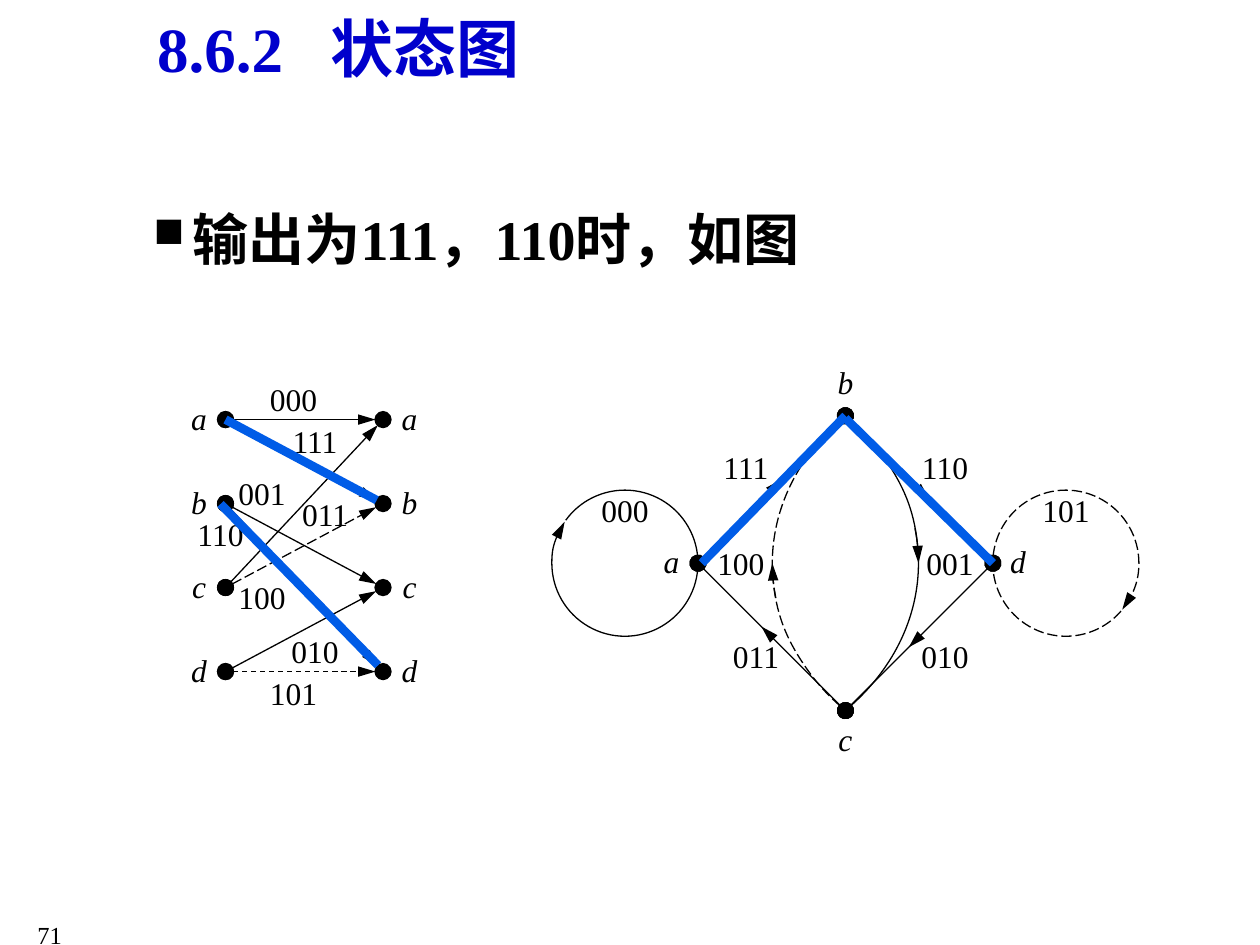
from math import hypot

from lxml import etree
from pptx import Presentation
from pptx.dml.color import RGBColor
from pptx.enum.dml import MSO_LINE
from pptx.enum.shapes import MSO_CONNECTOR, MSO_SHAPE
from pptx.enum.text import MSO_ANCHOR, PP_ALIGN
from pptx.oxml.ns import qn
from pptx.util import Inches, Pt

FONT = "Times New Roman"
BLACK = RGBColor(0, 0, 0)
TITLE_BLUE = RGBColor(0, 0, 0xCC)
PATH_BLUE = RGBColor(0, 0x5C, 0xE7)
SOLID, DASH, LONG = MSO_LINE.SOLID, MSO_LINE.DASH, MSO_LINE.LONG_DASH
LEFT, CENTER, RIGHT = PP_ALIGN.LEFT, PP_ALIGN.CENTER, PP_ALIGN.RIGHT
TOP, MIDDLE = MSO_ANCHOR.TOP, MSO_ANCHOR.MIDDLE

# Text as runs with their letter spacing in points
TITLE = [("8.6.2", 0), (" ", 18), ("状态图", 0)]
BODY = [("输出为111，110时，如图", 0)]
PAGE = [("71", 0)]

# Trellis: states in rows, time steps in two columns
STATES = "abcd"
COLUMNS = (1.79, 3.04)
ROW_TOP, ROW_STEP = 3.33, 2 / 3
ARROW_GAP = 0.06
DOT = 0.01
LETTER_OFFSET = 0.21
BRANCHES = [
    ("a", "a", SOLID), ("a", "b", LONG), ("b", "c", SOLID), ("b", "d", LONG),
    ("c", "a", SOLID), ("c", "b", LONG), ("d", "c", SOLID), ("d", "d", DASH),
]
TRELLIS_LABELS = [
    ("000", 2.33, 3.17), ("111", 2.5, 3.5), ("001", 2.08, 3.91),
    ("011", 2.58, 4.08), ("110", 1.75, 4.24), ("100", 2.08, 4.74),
    ("010", 2.5, 5.17), ("101", 2.33, 5.5),
]

# State diagram: a diamond of states around one centre
CX, CY, R = 6.71, 4.47, 1.17
LOOP_R = 0.58
LOOP_X = R + LOOP_R
BOW_RX, BOW_RY = 2, 1.66
BOW_X = BOW_RX - LOOP_R
NODES = {"a": (CX - R, CY), "b": (CX, CY - R), "c": (CX, CY + R), "d": (CX + R, CY)}
NODE_LETTERS = [("a", CX - 1.38, CY), ("b", CX, CY - 1.42),
                ("c", CX, CY + 1.41), ("d", CX + 1.37, CY)]
TRANSITIONS = [("a", "b", LONG), ("b", "d", LONG), ("d", "c", SOLID), ("c", "a", SOLID)]
# centre x, radii, start and end angle (clockwise), dash, head, tail
ARCS = [
    (CX - BOW_X, BOW_RX, BOW_RY, 320.5, 0, SOLID, "oval", "triangle"),
    (CX - BOW_X, BOW_RX, BOW_RY, 352, 39.5, SOLID, None, None),
    (CX + BOW_X, BOW_RX, BOW_RY, 140.5, 180, LONG, "oval", "triangle"),
    (CX + BOW_X, BOW_RX, BOW_RY, 172, 219.5, LONG, None, None),
    (CX - LOOP_X, LOOP_R, LOOP_R, 216, 214.5, SOLID, None, "triangle"),
    (CX + LOOP_X, LOOP_R, LOOP_R, 41, 39.5, LONG, None, "triangle"),
]
DIAGRAM_LABELS = [
    ("000", CX - LOOP_X, 4.05), ("101", CX + LOOP_X, 4.05),
    ("111", 5.92, 3.71), ("110", 7.5, 3.71), ("100", 5.88, CY),
    ("001", 7.54, CY), ("011", 6, 5.21), ("010", 7.5, 5.21),
]

HIGHLIGHTS = [
    ((1.79, 3.33), (2.99, 3.97)), ((CX, 3.3), (5.57, CY)),
    ((1.75, 4), (3, 5.28)), ((CX, 3.32), (7.88, CY)),
]

prs = Presentation()
prs.slide_width, prs.slide_height = Inches(10), Inches(7.5)
s = prs.slides.add_slide(prs.slide_layouts[6])


def style_line(sp, color, width, dash, head, tail):
    for name, value in {"width": Pt(width), "dash_style": dash}.items():
        setattr(sp.line, name, value)
    sp.line.color.rgb = color
    ln = sp.line._get_or_add_ln()
    for tag, kind in (("a:headEnd", head), ("a:tailEnd", tail)):
        if kind:
            breadth = "lg" if kind == "oval" else "med"
            etree.SubElement(ln, qn(tag), type=kind, w=breadth, len="lg")
    etree.SubElement(ln.getparent(), qn("a:effectLst"))


def line(start, end, dash=SOLID, head=None, tail=None, color=BLACK, width=0.75):
    sp = s.shapes.add_connector(MSO_CONNECTOR.STRAIGHT, *map(Inches, start + end))
    style_line(sp, color, width, dash, head, tail)


def arc(cx, rx, ry, start, end, dash, head, tail):
    box = (cx - rx, CY - ry, 2 * rx, 2 * ry)
    sp = s.shapes.add_shape(MSO_SHAPE.ARC, *map(Inches, box))
    for i, angle in enumerate((start, end)):
        sp.adjustments[i] = angle * 0.6  # 60000ths of a degree over 100000
    sp.fill.background()
    style_line(sp, BLACK, 0.75, dash, head, tail)


def text(runs, box, size, align=CENTER, anchor=TOP, wrap=True, inset=None,
         color=BLACK, bold=False, italic=False):
    tf = s.shapes.add_textbox(*map(Inches, box)).text_frame
    tf.word_wrap, tf.vertical_anchor = wrap, anchor
    if inset is not None:
        for side in ("left", "top", "right", "bottom"):
            setattr(tf, "margin_" + side, Inches(inset))
    p = tf.paragraphs[0]
    p.alignment = align
    font = {"name": FONT, "size": Pt(size), "bold": bold, "italic": italic}
    for value, spacing in runs:
        r = p.add_run()
        r.text = value
        for name, v in font.items():
            setattr(r.font, name, v)
        r.font.color.rgb = color
        if spacing:
            r._r.get_or_add_rPr().set("spc", str(spacing * 100))
    return p


def letter(name, x, y):
    text([(name, 0)], (x - 0.125, y - 0.165, 0.25, 0.33), 18, wrap=False, inset=0, italic=True)


def label(code, x, y):
    text([(code, 0)], (x - 0.375, y - 0.165, 0.75, 0.33), 18, anchor=MIDDLE, wrap=False)


def along(start, end, share):
    return tuple(u + (v - u) * share for u, v in zip(start, end))


p = text(BODY, (0.62, 1.57, 6.27, 0.69), 32, LEFT, bold=True)
pPr = p._p.get_or_add_pPr()
pPr.set("marL", str(Inches(0.81)))
pPr.set("indent", str(Inches(-0.31)))
etree.SubElement(pPr, qn("a:buSzPct"), val="75000")
etree.SubElement(pPr, qn("a:buFont"), typeface="Wingdings")
etree.SubElement(pPr, qn("a:buChar"), char="n")

rows = {state: ROW_TOP + i * ROW_STEP for i, state in enumerate(STATES)}
for source, target, dash in BRANCHES:
    start, end = (COLUMNS[0], rows[source]), (COLUMNS[1], rows[target])
    length = hypot(end[0] - start[0], end[1] - start[1])
    line(start, along(start, end, 1 - ARROW_GAP / length), dash, "oval", "triangle")
for state, y in rows.items():
    line((COLUMNS[1], y), (COLUMNS[1] + DOT, y), head="oval")
    letter(state, COLUMNS[0] - LETTER_OFFSET, y)
    letter(state, COLUMNS[1] + LETTER_OFFSET, y)

for item in ARCS:
    arc(*item)
for source, target, dash in TRANSITIONS:
    start, end = NODES[source], NODES[target]
    line(start, along(start, end, 0.57), dash, "oval", "triangle")
    line(along(start, end, 0.5), end, dash, tail="oval")
for item in NODE_LETTERS:
    letter(*item)
for item in TRELLIS_LABELS + DIAGRAM_LABELS:
    label(*item)

for start, end in HIGHLIGHTS:
    line(start, end, color=PATH_BLUE, width=5)

text(TITLE, (-0.55, 0.03, 6.47, 0.71), 36, color=TITLE_BLUE, bold=True)
text(PAGE, (-0.75, 7.25, 1.34, 0.5), 14, RIGHT)

prs.save("out.pptx")
